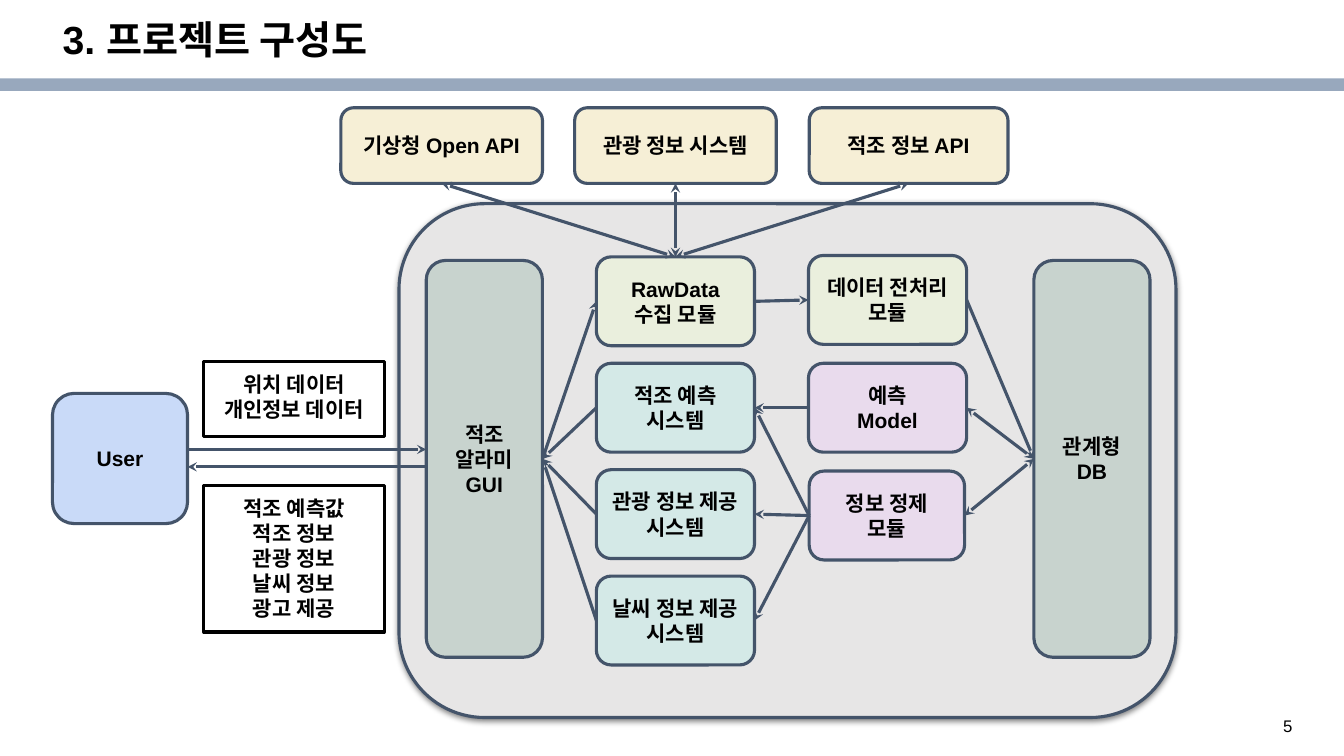
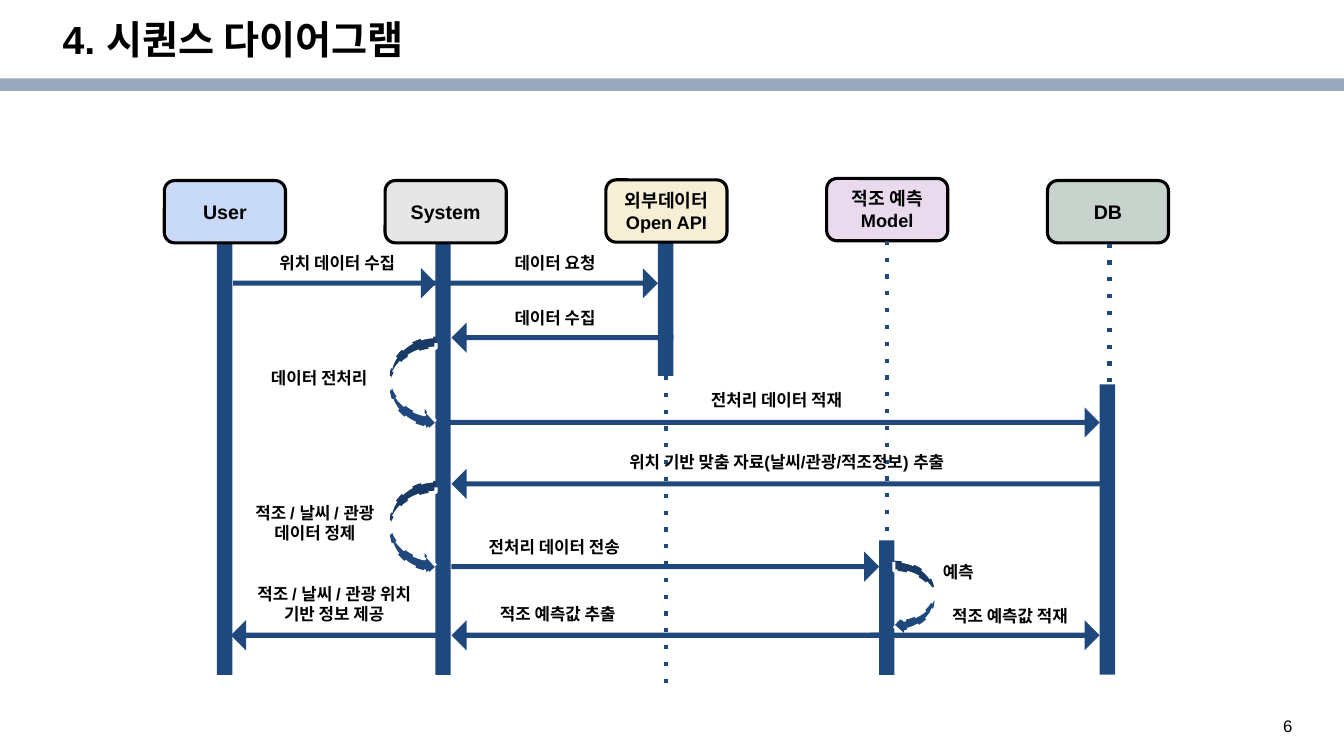
from lxml import etree
from pptx import Presentation
from pptx.dml.color import RGBColor
from pptx.enum import dml, shapes, text
from pptx.oxml.ns import qn
from pptx.util import Pt

HUES = {
    "ink": "000000", "paper": "FFFFFF", "band": "98A8BD", "slate": "44546A",
    "navy": "1F497D", "gray": "E7E6E6", "blue": "C9DAF8", "cream": "F6EFD6",
    "lime": "EAEFDD", "sage": "C8D3CE", "teal": "D4E9E7", "mauve": "E9DBED",
}
KIND = shapes.MSO_SHAPE
ALIGN = text.PP_ALIGN
TOP, LEFT, BASE, RIGHT = range(4)  # connection sites of a box


def hue(name):
    return RGBColor.from_string(HUES[name])


def add(parent, tag, **attrs):
    return etree.SubElement(parent, qn(tag), attrs)


class Deck:
    """Shared style plus the slide being drawn."""

    font = "Arial"
    edge = 2.25

    def __init__(self):
        self.prs = Presentation()
        self.prs.slide_width, self.prs.slide_height = Pt(960), Pt(540)
        self.slide = None

    def page(self, title, number):
        self.slide = self.prs.slides.add_slide(self.prs.slide_layouts[5])
        self.shape(KIND.RECTANGLE, (0, 56, 960, 9), "band")
        head = self.slide.shapes.title
        head.left, head.top, head.width, head.height = map(
            Pt, (37.5, 10.8, 828, 38))
        self.fill_text(head, title, 28, align=ALIGN.LEFT, pad=3.6)
        head.text_frame.paragraphs[0].line_spacing = 0.9
        self.label((909.5, 507.5, 37.5, 19.5), str(number),
                   ALIGN.LEFT, bold=False, pad=3.6)

    def fill_text(self, shape, words, size, align=ALIGN.CENTER,
                  anchor=text.MSO_ANCHOR.MIDDLE, bold=True, pad=7.2):
        frame = shape.text_frame
        frame.text = words
        frame.word_wrap = True
        frame.auto_size = text.MSO_AUTO_SIZE.NONE
        frame.vertical_anchor = anchor
        frame.margin_left = frame.margin_right = Pt(7.2)
        frame.margin_top = frame.margin_bottom = Pt(pad)
        for para in frame.paragraphs:
            para.alignment = align
            para.font.name, para.font.size = self.font, Pt(size)
            para.font.bold = bold
            para.font.color.rgb = hue("ink")

    def shape(self, kind, area, fill=None, line=None):
        item = self.slide.shapes.add_shape(kind, *map(Pt, area))
        item.shadow.inherit = False
        if fill:
            item.fill.solid()
            item.fill.fore_color.rgb = hue(fill)
        else:
            item.fill.background()
        if line:
            item.line.color.rgb = hue(line)
            item.line.width = Pt(self.edge)
        else:
            item.line.fill.background()
        return item

    def box(self, area, words, fill, line="slate", size=15):
        item = self.shape(KIND.ROUNDED_RECTANGLE, area, fill, line)
        self.fill_text(item, words, size)
        return item

    def frame(self, area):
        """Rounded backdrop with a soft shadow below it."""
        item = self.shape(KIND.ROUNDED_RECTANGLE, area, "gray", "slate")
        glow = add(item.element.spPr.find(qn("a:effectLst")), "a:outerShdw",
                   blurRad=str(Pt(4.5)), dist=str(Pt(1.5)), dir="5400000",
                   algn="t", rotWithShape="0")
        add(add(glow, "a:srgbClr", val=HUES["ink"]), "a:alpha", val="50000")

    def note(self, area, words):
        item = self.shape(KIND.RECTANGLE, area, line="ink")
        self.fill_text(item, words, 15, anchor=text.MSO_ANCHOR.TOP)

    def label(self, area, words, align=ALIGN.CENTER, **style):
        item = self.slide.shapes.add_textbox(*map(Pt, area))
        self.fill_text(item, words, 12, align, text.MSO_ANCHOR.TOP, **style)

    def stroke(self, ends, color, width):
        item = self.slide.shapes.add_connector(
            shapes.MSO_CONNECTOR.STRAIGHT, *map(Pt, ends))
        item.line.color.rgb = hue(color)
        item.line.width = Pt(width)
        add(item.element.spPr, "a:effectLst")
        return item

    def arrow(self, ends=(0, 0, 0, 0), both=False):
        item = self.stroke(ends, "slate", self.edge)
        line = item.element.spPr.find(qn("a:ln"))
        if both:
            add(line, "a:headEnd", type="stealth")
        add(line, "a:tailEnd", type="stealth")
        return item

    def link(self, start, site, goal, port, both=False):
        """Arrow glued to a site of each of two boxes."""
        item = self.arrow(both=both)
        item.begin_connect(start, site)
        item.end_connect(goal, port)

    def dots(self, x, top, base):
        item = self.stroke((x, top, x, base), "navy", 3)
        add(item.element.spPr.find(qn("a:ln")), "a:prstDash", val="dot")

    def block(self, left, top, right, back=False):
        """Thick message arrow, pointing left when back is set."""
        kind = KIND.LEFT_ARROW if back else KIND.RIGHT_ARROW
        item = self.shape(kind, (left, top, right - left, 21.6), "navy")
        item.adjustments[0] = 0.167

    def loop(self, area, flip=False):
        item = self.shape(KIND.CURVED_RIGHT_ARROW, area, "navy", "paper")
        item.line.dash_style = dml.MSO_LINE.DASH
        if flip:
            item.element.spPr.find(qn("a:xfrm")).set("flipH", "1")


def layout(deck):
    """Project structure."""
    deck.page("3. 프로젝트 구성도", 5)
    deck.frame((285, 145.5, 555, 367))
    user = deck.box((37.5, 281, 96.5, 93), "User", "blue")
    deck.note((145.5, 258, 129, 54), "위치 데이터\n개인정보 데이터")
    deck.note((145.5, 346.5, 129, 105),
              "적조 예측값\n적조 정보\n관광 정보\n날씨 정보\n광고 제공")
    feeds = [deck.box((x, 77, w, 54), words, "cream") for x, w, words in (
        (243.5, 144, "기상청 Open API"),
        (410.5, 144, "관광 정보 시스템"),
        (578, 142, "적조 정보 API"))]
    gui, store = [
        deck.box((x, 186, 83, 283.5), words, "sage") for x, words in (
            (304.5, "적조 알라미\nGUI"), (738.5, "관계형 DB"))]
    raw, tide, tour, sky = [
        deck.box((426, 183.5 + 76 * i, 113, 63.5), words, fill)
        for i, (words, fill) in enumerate((
            ("RawData\n수집 모듈", "lime"),
            ("적조 예측 시스템", "teal"),
            ("관광 정보 제공\n시스템", "teal"),
            ("날씨 정보 제공\n시스템", "teal")))]
    prep, model, clean = [
        deck.box((x, 182.5 + 77 * i, w, 63.5), words, fill)
        for i, (x, w, words, fill) in enumerate((
            (577.5, 113, "데이터 전처리 모듈", "lime"),
            (577.5, 113, "예측\nModel", "mauve"),
            (578, 111, "정보 정제\n모듈", "mauve")))]

    for feed in feeds:
        deck.link(raw, TOP, feed, BASE, both=True)
    deck.link(gui, RIGHT, raw, LEFT)
    deck.link(raw, RIGHT, prep, LEFT)
    deck.link(prep, RIGHT, store, LEFT)
    deck.link(model, LEFT, tide, RIGHT)
    for part in (model, clean):
        deck.link(store, LEFT, part, RIGHT, both=True)
    for part in (tide, tour, sky):
        deck.link(clean, LEFT, part, RIGHT)
        deck.link(part, LEFT, gui, RIGHT)
    near = (user.left + user.width) / Pt(1)
    far = gui.left / Pt(1)
    deck.arrow((near, 321, far, 321))
    deck.arrow((far, 333.5, near, 333.5))


def sequence(deck):
    deck.page("4. 시퀀스 다이어그램", 6)
    lanes = (  # name, fill, text size, head top, bar left, bar top, bar end
        ("User", "blue", 14, 129, 155, 173.5, 482),
        ("System", "gray", 14, 129, 311, 173.5, 482),
        ("외부데이터\nOpen API", "cream", 13, 128.5, 470, 172, 268.5),
        ("적조 예측 Model", "mauve", 13, 127.5, 628, 386, 482),
        ("DB", "sage", 14, 129, 785.5, 274.5, 482))
    for i, (name, fill, size, head, x, top, end) in enumerate(lanes):
        deck.shape(KIND.RECTANGLE, (x, top, 11, end - top), "navy")
        deck.box((117.4 + 157.7 * i, head, 86.5, 44.5),
                 name, fill, "ink", size)
    for x, top, end in ((476, 268.5, 496), (633.5, 172, 386),
                        (792.5, 174, 274.5)):
        deck.dots(x, top, end)

    deck.loop((278.5, 240.5, 33, 69))
    deck.loop((278.5, 343.5, 33, 69))
    deck.loop((638.5, 400.5, 29, 54), flip=True)
    for left, top, right, back in (
            (166.5, 191.5, 311.5, False), (307, 191.5, 470, False),
            (322.5, 230.4, 481, True), (312, 291, 785.5, False),
            (322.5, 334.8, 793.5, True), (322.5, 394, 628, False),
            (165, 443, 312, True), (322.5, 443, 628.5, True),
            (622, 443, 785.5, False)):
        deck.block(left, top, right, back)

    for x, y, w, words in (
            (187, 173.5, 108, "위치 데이터 수집"),
            (342.5, 173.5, 108, "데이터 요청"),
            (342.5, 212.5, 108, "데이터 수집"),
            (180, 255.5, 96, "데이터 전처리"),
            (492.5, 271.5, 124.5, "전처리 데이터 적재"),
            (387.5, 315.5, 349, "위치 기반 맞춤 자료(날씨/관광/적조정보) 추출"),
            (165.5, 352, 119, "적조 / 날씨 / 관광 데이터 정제"),
            (176.5, 409.5, 124.5, "적조 / 날씨 / 관광 위치 기반 정보 제공"),
            (339, 424, 119, "적조 예측값 추출")):
        deck.label((x, y, w, 29), words)
    for x, y, w, words in (
            (342, 376.5, 124.5, "전처리 데이터 전송"),
            (666.5, 394, 52.5, "예측"),
            (673, 425.5, 124.5, "적조 예측값 적재")):
        deck.label((x, y, w, 29), words, ALIGN.LEFT)


def main():
    deck = Deck()
    layout(deck)
    sequence(deck)
    deck.prs.save("out.pptx")


if __name__ == "__main__":
    main()
